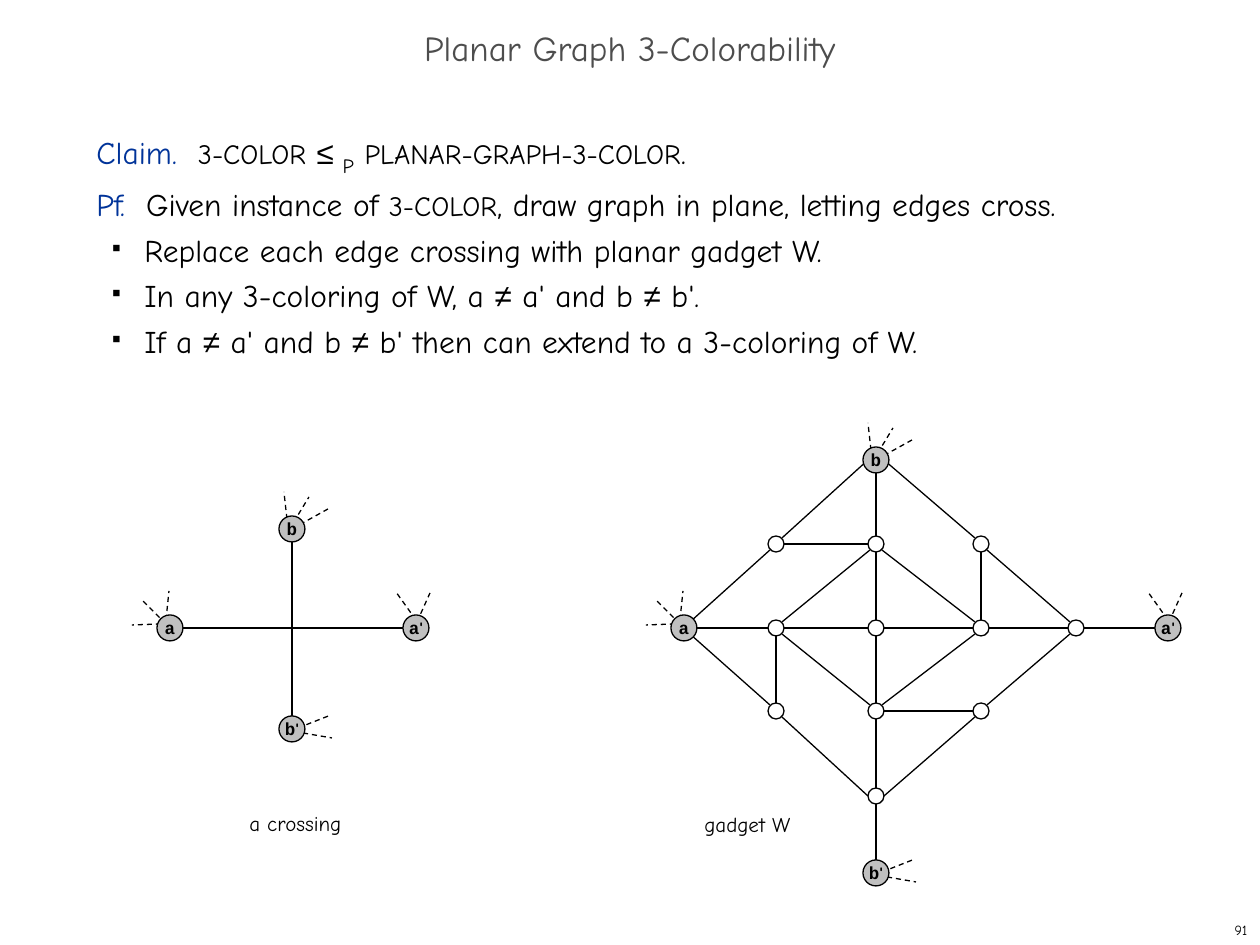
from dataclasses import dataclass

from lxml import etree
from pptx import Presentation
from pptx.dml.color import RGBColor as RGB
from pptx.enum.dml import MSO_LINE
from pptx.enum.shapes import MSO_CONNECTOR as CONNECTOR, MSO_SHAPE as SHAPE
from pptx.enum.text import MSO_ANCHOR as ANCHOR, MSO_AUTO_SIZE as AUTOSIZE, PP_ALIGN as ALIGN
from pptx.oxml.ns import qn
from pptx.util import Pt


@dataclass(frozen=True)
class Theme:
    black: RGB = RGB(0, 0, 0)
    grey: RGB = RGB(0x4D, 0x4D, 0x4D)
    blue: RGB = RGB(0, 0x33, 0x99)
    silver: RGB = RGB(0xC0, 0xC0, 0xC0)
    hand: str = "Comic Neue"
    symbol: str = "Arial"
    mono: str = "Courier New"
    title: Pt = Pt(20)
    body: Pt = Pt(18)
    problem: Pt = Pt(16)
    caption: Pt = Pt(12)
    node: Pt = Pt(10)
    number: Pt = Pt(8)
    leading: Pt = Pt(26)
    stroke: Pt = Pt(0.75)


theme = Theme()
PX = 7257
SMALL, LARGE = 8, 13


def draw_edge(canvas, start, end, dashed=False):
    edge = canvas.add_connector(CONNECTOR.STRAIGHT, *(v * PX for v in (*start, *end)))
    edge.line.color.rgb = theme.black
    edge.line.width = theme.stroke
    if dashed:
        edge.line.dash_style = MSO_LINE.DASH
    etree.SubElement(edge._element.spPr, qn("a:effectLst"))


def rim_point(center, toward, sideways):
    dx, dy = ((t > c) - (t < c) for c, t in zip(center, toward))
    reach = SMALL
    if dx and dy:
        if sideways:
            dy = 0
        else:
            reach = 6
    return center[0] + dx * reach, center[1] + dy * reach


deck = Presentation()
deck.slide_width, deck.slide_height = 1260 * PX, 945 * PX
slide = deck.slides.add_slide(deck.slide_layouts[5])

title = slide.shapes.title
title.left, title.top, title.width, title.height = 0, 21 * PX, 1260 * PX, 63 * PX
title.text_frame.text = "Planar Graph 3-Colorability"
title.text_frame.auto_size = AUTOSIZE.NONE
title.text_frame.vertical_anchor = ANCHOR.MIDDLE
heading = title.text_frame.paragraphs[0]
heading.alignment = ALIGN.CENTER
heading.line_spacing = 0.7
heading.font.size = theme.title
heading.font.name = theme.hand
heading.font.color.rgb = theme.grey

plain = {}
lead = {"color": theme.blue}
problem = {"size": theme.problem}
symbol = {"name": theme.symbol}
subscript = {"size": theme.title, "baseline": "-25000"}
proof = [
    (False, [("Claim.  ", lead), ("3-COLOR", problem), (" ", plain), ("≤ ", symbol),
             ("P", subscript), (" ", plain), ("PLANAR-GRAPH-3-COLOR", problem), (".", plain)]),
    (False, [("Pf.  ", lead), ("Given instance of ", plain), ("3-COLOR", problem),
             (", draw graph in plane, letting edges cross.", plain)]),
    (True, [("Replace each edge crossing with planar gadget W.", plain)]),
    (True, [("In any 3-coloring of W, a ", plain), ("≠", symbol), (" a' and b ", plain),
            ("≠", symbol), (" b'.", plain)]),
    (True, [("If a ", plain), ("≠", symbol), (" a' and b ", plain), ("≠", symbol),
            (" b' then can extend to a 3-coloring of W.", plain)]),
]
body = slide.shapes.add_textbox(84 * PX, 126 * PX, 1081 * PX, 746 * PX).text_frame
body.word_wrap = True
for index, (bulleted, pieces) in enumerate(proof):
    line = body.add_paragraph() if index else body.paragraphs[0]
    line.line_spacing = theme.leading
    if bulleted:
        line.level = 1
        props = line._p.get_or_add_pPr()
        props.set("marL", str(48 * PX))
        props.set("indent", str(-32 * PX))
        bullet_color = etree.SubElement(props, qn("a:buClr"))
        etree.SubElement(bullet_color, qn("a:srgbClr"), val=str(theme.black))
        etree.SubElement(props, qn("a:buSzPct"), val="35000")
        etree.SubElement(props, qn("a:buChar"), char="■")
    line.font.size = theme.body
    line.font.name = theme.hand
    line.font.color.rgb = theme.black
    for words, style in pieces:
        run = line.add_run()
        run.text = words
        if "size" in style:
            run.font.size = style["size"]
        if "name" in style:
            run.font.name = style["name"]
        if "color" in style:
            run.font.color.rgb = style["color"]
        if "baseline" in style:
            run._r.get_or_add_rPr().set("baseline", style["baseline"])

west, left, middle, right, east, far_east = 684, 776, 876, 981, 1076, 1168
top, upper, center, lower, bottom, far_bottom = 460, 544, 628, 711, 796, 873
crossing_labels = {"a": (170, 628), "a'": (416, 628), "b": (292, 529), "b'": (292, 729)}
gadget_labels = {"a": (west, center), "a'": (far_east, center),
                 "b": (middle, top), "b'": (middle, far_bottom)}
inner = {
    "upper left": (left, upper), "upper": (middle, upper), "upper right": (right, upper),
    "left": (left, center), "hub": (middle, center), "right": (right, center),
    "east": (east, center), "lower left": (left, lower), "lower": (middle, lower),
    "lower right": (right, lower), "bottom": (middle, bottom),
}
crossing_edges = [("a", "a'"), ("b", "b'")]
gadget_paths = [
    ("a", "left", "hub", "right", "east", "a'"),
    ("b", "upper", "hub", "lower", "bottom", "b'"),
    ("a", "upper left", "b", "upper right", "east", "lower right", "bottom", "lower left", "a"),
    ("left", "upper", "right", "lower", "left"),
    ("upper left", "upper"), ("upper right", "right"),
    ("lower left", "left"), ("lower right", "lower"),
]
stubs = {
    "a": [((-4, -8), (-1, -37)), ((-4, -4), (-28, -28)), ((-9, -4), (-38, -3))],
    "a'": [((1, -6), (14, -35)), ((0, -8), (-20, -36))],
    "b": [((0, 0), (36, -20)), ((-4, -1), (-8, -37)), ((-3, 1), (17, -32))],
    "b'": [((6, -1), (39, -14)), ((11, 4), (40, 9))],
}

gadget = slide.shapes.add_group_shape().shapes
for canvas, labels, hubs, paths in (
    (gadget, gadget_labels, inner, gadget_paths),
    (slide.shapes, crossing_labels, {}, crossing_edges),
):
    nodes = {**labels, **hubs}
    for label, (x, y) in labels.items():
        for (x1, y1), (x2, y2) in stubs[label]:
            draw_edge(canvas, (x + x1, y + y1), (x + x2, y + y2), dashed=True)
    for path in paths:
        for start, end in zip(path, path[1:]):
            draw_edge(canvas,
                      rim_point(nodes[start], nodes[end], start in ("b", "bottom")),
                      rim_point(nodes[end], nodes[start], end in ("b", "bottom")))
    for name, (x, y) in nodes.items():
        radius = LARGE if name in labels else SMALL
        node = canvas.add_shape(SHAPE.OVAL, (x - radius) * PX, (y - radius) * PX,
                                2 * radius * PX, 2 * radius * PX)
        node.shadow.inherit = False
        node.line.color.rgb = theme.black
        node.line.width = theme.stroke
        if name in hubs:
            node.fill.background()
            continue
        node.fill.solid()
        node.fill.fore_color.rgb = theme.silver
        node.text_frame.word_wrap = False
        node.text_frame.vertical_anchor = ANCHOR.MIDDLE
        label = node.text_frame.paragraphs[0]
        label.alignment = ALIGN.CENTER
        label.font.size = theme.node
        label.font.bold = True
        label.font.name = theme.mono
        label.font.color.rgb = theme.black
        for character in name:
            run = label.add_run()
            run.text = character
            if character == "'":
                run.font.name = theme.hand

for words, box, size, align, anchor in (
    ("a crossing", (237, 804, 117, 38), theme.caption, ALIGN.LEFT, ANCHOR.TOP),
    ("gadget W", (692, 805, 111, 38), theme.caption, ALIGN.LEFT, ANCHOR.TOP),
    ("91", (998, 914, 262, 31), theme.number, ALIGN.RIGHT, ANCHOR.MIDDLE),
):
    note = slide.shapes.add_textbox(*(v * PX for v in box)).text_frame
    note.text = words
    note.word_wrap = False
    note.vertical_anchor = anchor
    caption = note.paragraphs[0]
    caption.alignment = align
    caption.font.size = size
    caption.font.name = theme.hand
    caption.font.color.rgb = theme.black

deck.save("out.pptx")
